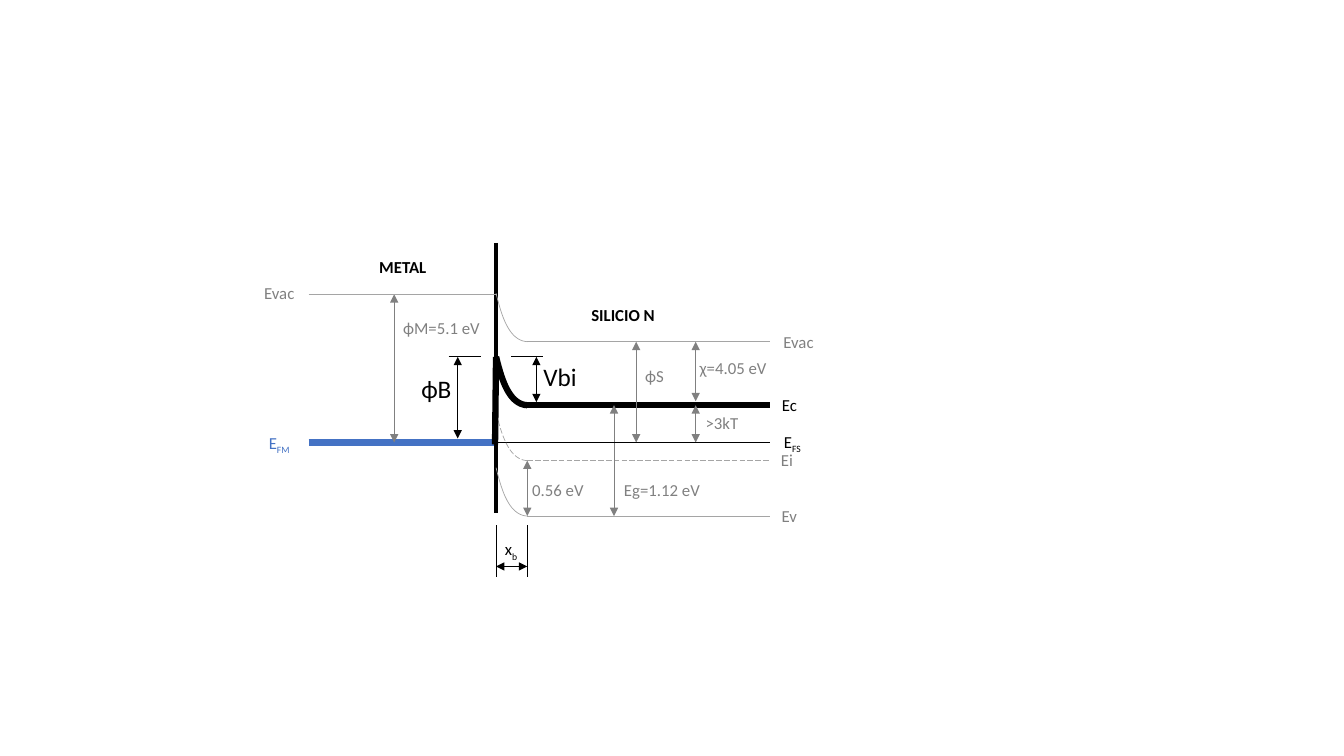
from lxml import etree
from pptx import Presentation
from pptx import util as u
from pptx.dml.color import RGBColor
from pptx.enum import dml, shapes, text
from pptx.oxml.ns import qn

BLACK = RGBColor(0x00, 0x00, 0x00)
GREY = RGBColor(0x80, 0x80, 0x80)
PALE = RGBColor(0xA5, 0xA5, 0xA5)
BLUE = RGBColor(0x44, 0x72, 0xC4)

PX = 9144
FONT = "Calibri"
FINE, BOLD, WALL = 0.5, 4.5, 2.25
DASH = dml.MSO_LINE.LONG_DASH
LEFT, MID = text.PP_ALIGN.LEFT, text.PP_ALIGN.CENTER

START, FACE, EDGE, END = 306, 492, 523, 764
TOP, VAC, PEAK, COND, FERMI, INNER, VAL = 292, 339, 354, 402, 439, 457, 512


class Board:
    """Draws styled elements on one slide, with lengths in px."""

    def __init__(self, deck):
        self.slide = deck.slides.add_slide(deck.slide_layouts[6])
        self.items = self.slide.shapes
        self.frame = {
            "word_wrap": False,
            "auto_size": text.MSO_AUTO_SIZE.SHAPE_TO_FIT_TEXT,
            "vertical_anchor": text.MSO_ANCHOR.TOP,
        }

    def apply(self, item, values):
        for key, value in values.items():
            setattr(item, key, value)

    def ink(self, line, color, width, dash):
        line.color.rgb = color
        self.apply(line, {"width": u.Pt(width), "dash_style": dash})

    def line(self, x1, y1, x2, y2, color=BLACK, width=FINE, dash=None, heads=False):
        ends = [v * PX for v in (x1, y1, x2, y2)]
        rule = self.items.add_connector(shapes.MSO_CONNECTOR.STRAIGHT, *ends)
        self.ink(rule.line, color, width, dash)
        if heads:
            for tag in ("a:headEnd", "a:tailEnd"):
                etree.SubElement(rule.line._ln, qn(tag), type="triangle")
        etree.SubElement(rule._element.spPr, qn("a:effectLst"))

    def arrow(self, x1, y1, x2, y2, color=GREY):
        self.line(x1, y1, x2, y2, color, heads=True)

    def bend(self, level, color=PALE, width=FINE, dash=None, steps=24):
        knots = [(EDGE, level), (504, level - 1), (497, level - 28), (FACE, level - 48)]
        dots = []
        for i in range(steps + 1):
            t = i / steps
            mix = ((1 - t) ** 3, 3 * t * (1 - t) ** 2, 3 * t * t * (1 - t), t ** 3)
            dots.append(tuple(sum(m * k[a] for m, k in zip(mix, knots)) * PX for a in (0, 1)))
        pen = self.items.build_freeform(*dots[0], scale=1.0)
        pen.add_line_segments(dots[1:], close=False)
        curve = pen.convert_to_shape()
        curve.fill.background()
        curve.shadow.inherit = False
        self.ink(curve.line, color, width, dash)

    def label(self, x, y, w, words, color=GREY, sub="", align=LEFT, size=12, bold=False):
        high = 40 if size > 12 else 30
        box = self.items.add_textbox(x * PX, y * PX, w * PX, high * PX)
        self.apply(box.text_frame, self.frame)
        para = box.text_frame.paragraphs[0]
        para.alignment = align
        for part in filter(None, (words, sub)):
            run = para.add_run()
            run.text = part
            self.apply(run.font, {"name": FONT, "size": u.Pt(size), "bold": bold})
            run.font.color.rgb = color
        if sub:
            run.font._element.set("baseline", "-25000")


def main():
    deck = Presentation()
    deck.slide_width, deck.slide_height = 1333 * PX, 750 * PX
    board = Board(deck)

    bands = [
        (VAC, PALE, FINE, None),
        (COND, BLACK, BOLD, None),
        (INNER, PALE, FINE, DASH),
        (VAL, PALE, FINE, None),
    ]
    for level, *style in bands:
        board.line(EDGE, level, END, level, *style)

    spans = [
        (690, COND, FERMI), (EDGE, INNER, VAL), (609, COND, VAL),
        (631, VAC, FERMI), (690, VAC, 398),
    ]
    for x, high, low in spans:
        board.arrow(x, high, x, low)

    board.line(FACE, FERMI, END, FERMI)
    board.line(START, FERMI, 493, FERMI, BLUE, BOLD)
    board.arrow(391, TOP, 391, FERMI)
    board.line(FACE, 241, FACE, 509, BLACK, WALL)
    board.line(START, TOP, 493, TOP, PALE)
    for level, *style in bands:
        board.bend(level, *style)

    for x in (FACE, EDGE):
        board.line(x, 521, x, 572)
    board.arrow(FACE, 562, EDGE, 562, BLACK)
    board.line(FACE, PEAK, 491, 441, BLACK, BOLD)
    for x in (445, 507):
        board.line(x, PEAK, x + 32, PEAK)
    for x, low in ((454, 435), (532, 399)):
        board.arrow(x, PEAK, x, low, BLACK)

    for row in (
        (690, 405, 58, ">3kT"),
        (518, 471, 78, "0.56 eV"),
        (609, 471, 108, "Eg=1.12 eV"),
        (630, 358, 41, "ϕS"),
        (390, 310, 102, "ϕM=5.1 eV"),
        (684, 350, 97, "χ=4.05 eV"),
        (491, 530, 35, "x", BLACK, "b"),
    ):
        board.label(*row)
    for row in (
        (763, VAC - 15, 58, "Evac"),
        (763, COND - 15, 40, "Ec", BLACK),
        (763, VAL - 15, 40, "Ev"),
        (763, INNER - 16, 35, "Ei"),
        (763, FERMI - 16, 46, "E", BLACK, "FS"),
        (248, TOP - 16, 58, "Evac"),
        (253, FERMI - 15, 48, "E", BLUE, "FM"),
    ):
        board.label(*row, align=MID)
    for row in ((569, 297, 98, "SILICIO N"), (361, 250, 77, "METAL")):
        board.label(*row, BLACK, align=MID, bold=True)
    for row in ((408, 365, 51, "ϕB"), (529, 354, 57, "Vbi")):
        board.label(*row, BLACK, size=18)

    deck.save("out.pptx")


if __name__ == "__main__":
    main()
